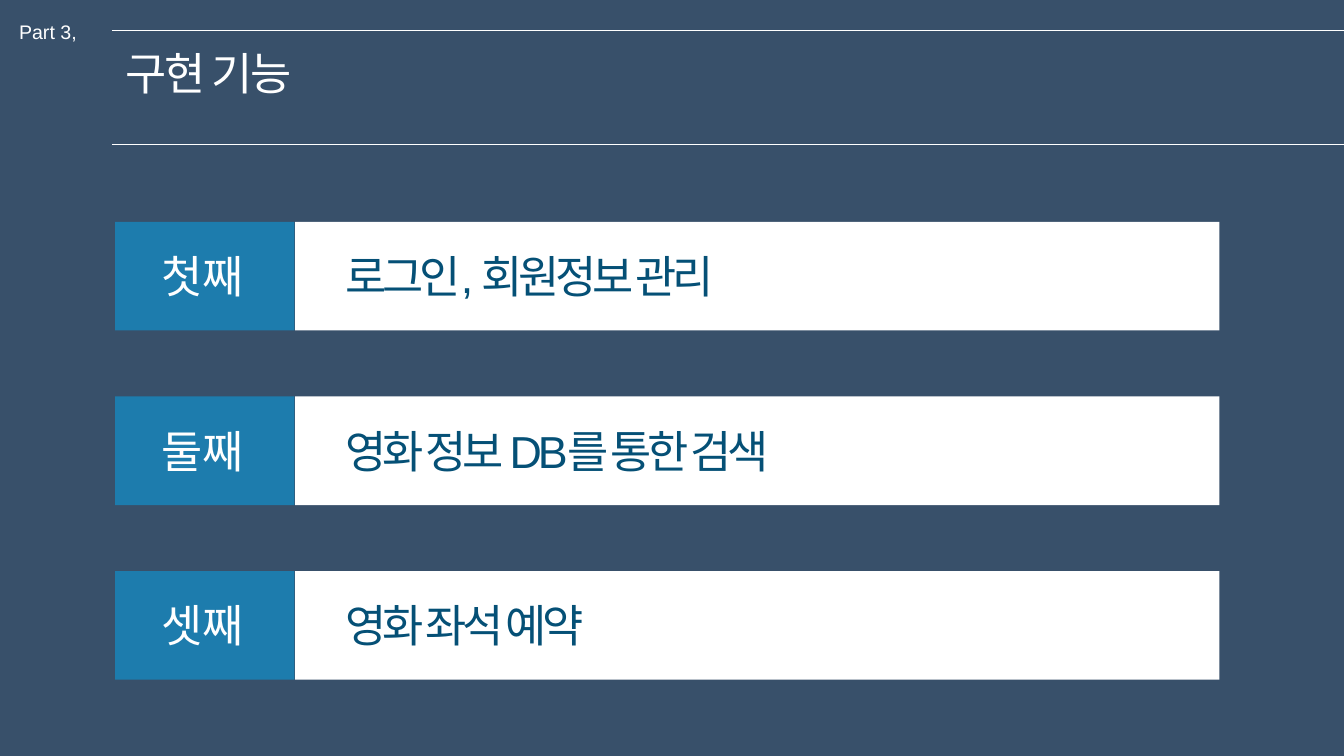
import pptx
import pptx.dml.color
import pptx.enum.shapes
import pptx.enum.text
import pptx.oxml
import pptx.oxml.ns
import pptx.util

Cm = pptx.util.Cm
RGBColor = pptx.dml.color.RGBColor
ALIGN = pptx.enum.text.PP_ALIGN

NAVY = RGBColor(0x38, 0x50, 0x6A)
BLUE = RGBColor(0x1D, 0x7C, 0xAD)
DEEP_BLUE = RGBColor(0x05, 0x50, 0x76)
WHITE = RGBColor(0xFF, 0xFF, 0xFF)
LATIN_FONT = "Arial"
KOREAN_FONT = "Noto Sans CJK KR"
SLIDE_WIDTH, SLIDE_HEIGHT = 33.87, 19.05

FEATURES = [
    ("첫째", "로그인, 회원정보 관리", 10.44),
    ("둘째", "영화 정보 DB를 통한 검색", 12.01),
    ("셋째", "영화 좌석 예약", 7.14),
]
ROW_TOP, ROW_PITCH, ROW_HEIGHT = 5.59, 4.4, 2.74
TEXT_HEIGHT = 1.63
TEXT_OFFSET = (ROW_HEIGHT - TEXT_HEIGHT) / 2


class FeatureSlide:
    """Draws styled elements on the current slide."""

    def __init__(self, presentation):
        self.slide = presentation.slides.add_slide(presentation.slide_layouts[5])
        background = self.slide.background.fill
        background.solid()
        background.fore_color.rgb = NAVY

    def fill_text(self, shape, text, size=32, color=WHITE, font=LATIN_FONT,
                  align=ALIGN.LEFT, spacing=0):
        frame = shape.text_frame
        frame_format = {
            "word_wrap": False,
            "auto_size": pptx.enum.text.MSO_AUTO_SIZE.SHAPE_TO_FIT_TEXT,
            "vertical_anchor": pptx.enum.text.MSO_ANCHOR.TOP,
        }
        for name, value in frame_format.items():
            setattr(frame, name, value)
        paragraph = frame.paragraphs[0]
        paragraph.alignment = align
        run = paragraph.add_run()
        run.text = text
        for name, value in {"size": pptx.util.Pt(size), "name": font}.items():
            setattr(run.font, name, value)
        run.font.color.rgb = color
        properties = run._r.get_or_add_rPr()
        properties.set("spc", str(round(spacing * 100)))
        east_asian = pptx.oxml.parse_xml(
            f'<a:ea {pptx.oxml.ns.nsdecls("a")} typeface="{KOREAN_FONT}"/>')
        properties.find(pptx.oxml.ns.qn("a:latin")).addnext(east_asian)

    def title(self, text, left, top, width, height, **style):
        shape = self.slide.shapes.title
        position = {"left": left, "top": top, "width": width, "height": height}
        for name, value in position.items():
            setattr(shape, name, Cm(value))
        self.fill_text(shape, text, **style)

    def text(self, text, left, top, width, height, **style):
        shape = self.slide.shapes.add_textbox(
            Cm(left), Cm(top), Cm(width), Cm(height))
        self.fill_text(shape, text, **style)

    def rectangle(self, left, top, width, height, color):
        shape = self.slide.shapes.add_shape(
            pptx.enum.shapes.MSO_SHAPE.RECTANGLE,
            Cm(left), Cm(top), Cm(width), Cm(height))
        shape.shadow.inherit = False
        shape.fill.solid()
        shape.fill.fore_color.rgb = color
        shape.line.fill.background()

    def rule(self, left, top):
        connector = self.slide.shapes.add_connector(
            pptx.enum.shapes.MSO_CONNECTOR.STRAIGHT,
            Cm(left), Cm(top), Cm(SLIDE_WIDTH), Cm(top))
        connector.line.color.rgb = WHITE
        connector.line.width = pptx.util.Pt(0.5)
        connector._element.spPr.append(pptx.oxml.parse_xml(
            f'<a:effectLst {pptx.oxml.ns.nsdecls("a")}/>'))

    def feature(self, top, label, description, description_width):
        self.rectangle(2.9, top, 4.52, ROW_HEIGHT, BLUE)
        self.rectangle(7.44, top, 23.29, ROW_HEIGHT, WHITE)
        text_top = top + TEXT_OFFSET
        self.text(label, 3.81, text_top, 2.59, TEXT_HEIGHT,
                  font=KOREAN_FONT, align=ALIGN.CENTER)
        self.text(description, 8.46, text_top, description_width, TEXT_HEIGHT,
                  color=DEEP_BLUE, spacing=-3)


def main():
    presentation = pptx.Presentation()
    presentation.slide_width = Cm(SLIDE_WIDTH)
    presentation.slide_height = Cm(SLIDE_HEIGHT)
    page = FeatureSlide(presentation)
    for rule_top in (0.76, 3.63):
        page.rule(2.82, rule_top)
    page.text("Part 3,", 0.23, 0.38, 1.98, 0.86, size=14)
    page.title("구현 기능", 2.9, 1.02, 5.13, TEXT_HEIGHT, spacing=-1.5)
    for index, row in enumerate(FEATURES):
        page.feature(ROW_TOP + index * ROW_PITCH, *row)
    presentation.save("out.pptx")


if __name__ == "__main__":
    main()
